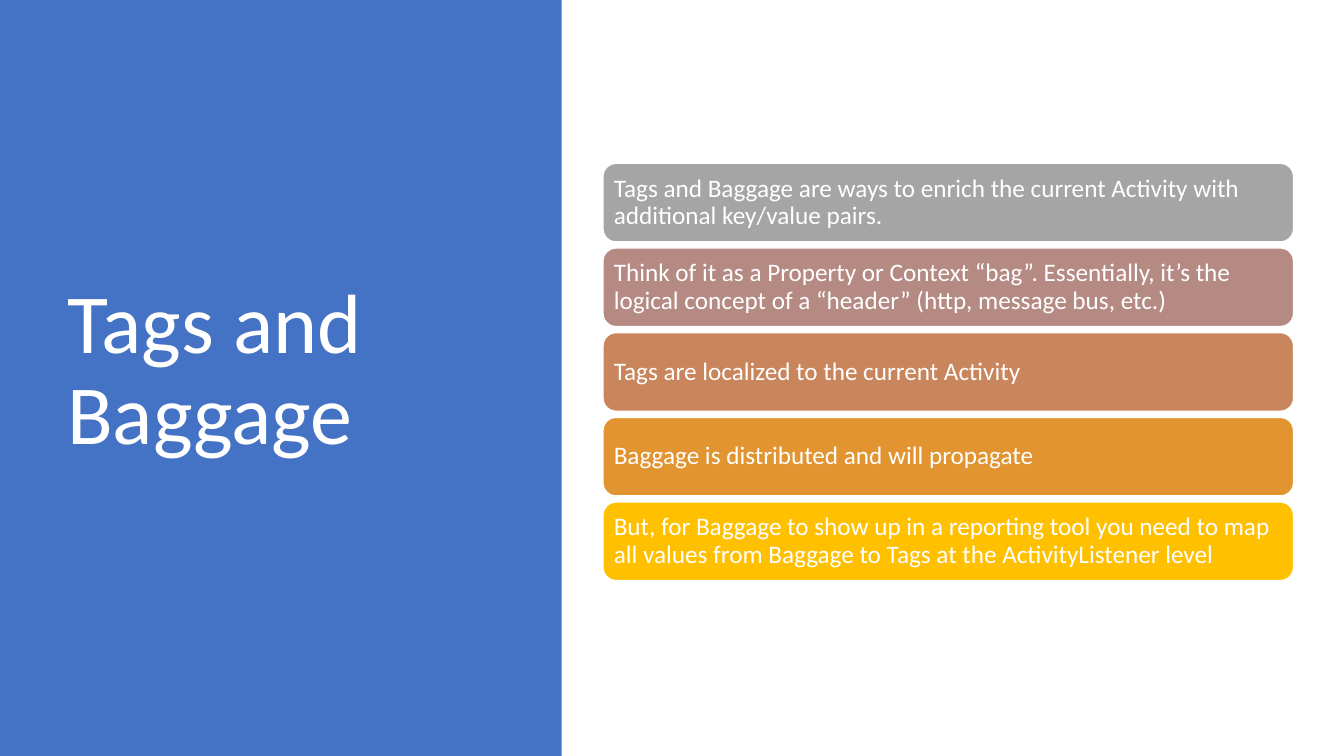
import pptx
import pptx.util
import pptx.dml.color
import pptx.enum.shapes
import pptx.enum.text

Inches = pptx.util.Inches
Pt = pptx.util.Pt
RGBColor = pptx.dml.color.RGBColor
MSO_SHAPE = pptx.enum.shapes.MSO_SHAPE

BLUE = RGBColor(0x44, 0x72, 0xC4)
WHITE = RGBColor(0xFF, 0xFF, 0xFF)
GRAY = RGBColor(0xA5, 0xA5, 0xA5)
ROSE = RGBColor(0xB4, 0x8A, 0x83)
COPPER = RGBColor(0xC9, 0x85, 0x5C)
ORANGE = RGBColor(0xE1, 0x94, 0x30)
GOLD = RGBColor(0xFF, 0xC0, 0x00)

POINTS = [
    (GRAY, "Tags and Baggage are ways to enrich the current Activity with additional key/value pairs."),
    (ROSE, "Think of it as a Property or Context “bag”. Essentially, it’s the logical concept of a “header” (http, message bus, etc.)"),
    (COPPER, "Tags are localized to the current Activity"),
    (ORANGE, "Baggage is distributed and will propagate"),
    (GOLD, "But, for Baggage to show up in a reporting tool you need to map all values from Baggage to Tags at the ActivityListener level"),
]


def add_text(sp, text, size):
    tf = sp.text_frame
    tf.word_wrap = True
    tf.vertical_anchor = pptx.enum.text.MSO_ANCHOR.MIDDLE
    p = tf.paragraphs[0]
    p.alignment = pptx.enum.text.PP_ALIGN.LEFT
    p.line_spacing = 0.9
    r = p.add_run()
    r.text = text
    r.font.name = "Calibri"
    r.font.size = Pt(size)
    r.font.color.rgb = WHITE
    return tf


prs = pptx.Presentation()
prs.slide_width = Inches(13.33)
prs.slide_height = Inches(7.5)
s = prs.slides.add_slide(prs.slide_layouts[6])

panel = s.shapes.add_shape(MSO_SHAPE.RECTANGLE, 0, 0, Inches(5.57), Inches(7.5))
panel.shadow.inherit = False
panel.fill.solid()
panel.fill.fore_color.rgb = BLUE
panel.line.fill.background()

title = s.shapes.add_textbox(Inches(0.57), Inches(0.68), Inches(4.16), Inches(6.02))
add_text(title, "Tags and Baggage", 60)

for i, (color, text) in enumerate(POINTS):
    sp = s.shapes.add_shape(MSO_SHAPE.ROUNDED_RECTANGLE, Inches(5.98), Inches(1.62 + 0.84 * i),
                            Inches(6.85), Inches(0.78))
    sp.shadow.inherit = False
    sp.fill.solid()
    sp.fill.fore_color.rgb = color
    sp.line.color.rgb = WHITE
    sp.line.width = Pt(1)
    tf = add_text(sp, text, 18)
    tf.margin_left = tf.margin_right = tf.margin_top = tf.margin_bottom = Inches(0.07)

prs.save("out.pptx")
